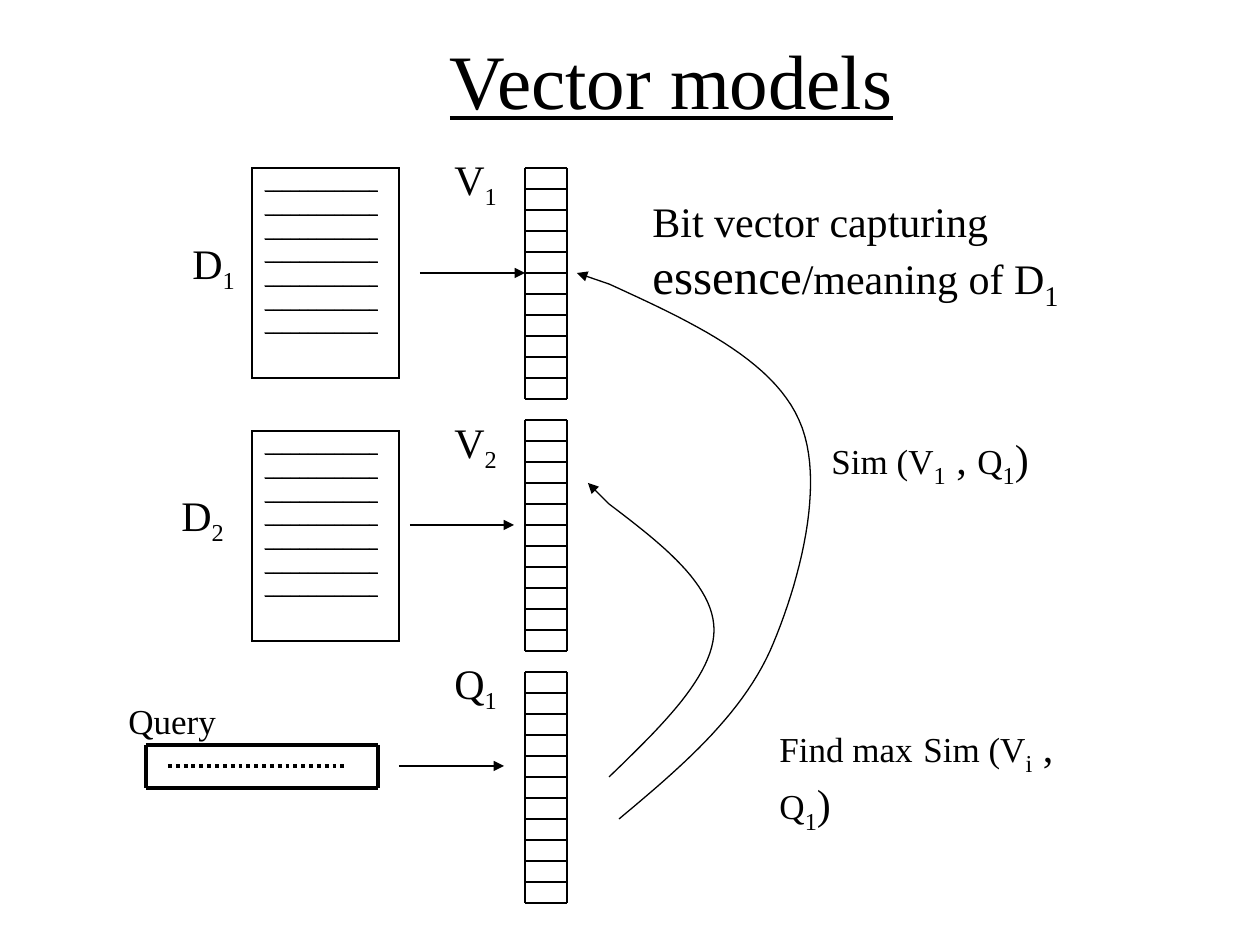
"""Build the slide on vector models of documents and queries."""
import pptx
import pptx.dml.color
import pptx.enum.dml
import pptx.enum.shapes
import pptx.enum.text
import pptx.oxml
import pptx.oxml.ns
import pptx.util

BLACK = pptx.dml.color.RGBColor(0, 0, 0)
FONT = "Times New Roman"
SCALE = 914400 / 126
THIN, THICK, EDGE = 0.75, 2.25, 1.08

TITLE = ("Vector models", (136, 0, 1071, 158))
SIM = [("Sim (V", 20, False)]
PAIR = [(" , ", 24, False), ("Q", 20, False), ("1", 24, True), (")", 24, False)]
LABELS = [
    ((180, 231), "D", "1"),
    ((169, 483), "D", "2"),
    ((442, 147), "V", "1"),
    ((442, 410), "V", "2"),
    ((442, 651), "Q", "1"),
]
NOTES = [
    ((640, 189, 558, 189), True, [
        [("Bit vector capturing", 24, False)],
        [("essence", 28, False), ("/meaning of D", 24, False), ("1", 28, True)],
    ]),
    ((116, 693, 149, 55), True, [[("Query", 20, False)]]),
    ((767, 714, 360, 121), False, [
        [("Find max", 20, False), (" ", 24, False)] + SIM + [("i", 24, True)] + PAIR,
    ]),
    ((819, 426, 223, 71), False, [SIM + [("1", 24, True)] + PAIR]),
]
LEFT, WIDE, CELL, COUNT = 525, 42, 21, 11
VECTORS = [168, 420, 672]
PAGES = [(252, 168, 147, 210), (252, 431, 147, 210)]
ROWS, RULE = 7, "_" * 13
QUERY = (146, 745, 378, 788)
DOTS = (168, 766, 347, 766)
ARROWS = [(420, 273, 525, 273), (410, 525, 514, 525), (399, 766, 504, 766)]
CURVES = [
    ([(619, 819), (679, 769), (740, 717), (770, 651), (799, 585), (827, 481),
      (799, 420), (772, 359), (690, 321), (609, 284)], (577, 273)),
    ([(609, 777), (662, 726), (714, 675), (714, 630), (714, 585), (662, 544),
      (609, 504)], (588, 483)),
]
STEPS = 24


def emu(*nums):
    return [round(num * SCALE) for num in nums]


def style(run, size, line=False, sub=False):
    run.font.name = FONT
    run.font.size = pptx.util.Pt(size)
    run.font.color.rgb = BLACK
    if line:
        run.font.underline = True
    if sub:
        run._r.get_or_add_rPr().set("baseline", "-25000")


def write(shapes, box, wrap, paras):
    frame = shapes.add_textbox(*emu(*box)).text_frame
    frame.word_wrap = wrap
    frame.auto_size = pptx.enum.text.MSO_AUTO_SIZE.SHAPE_TO_FIT_TEXT
    for num, parts in enumerate(paras):
        para = frame.add_paragraph() if num else frame.paragraphs[0]
        for text, size, sub in parts:
            run = para.add_run()
            run.text = text
            style(run, size, sub=sub)


def line(shapes, ends, width=THIN, head=False):
    link = shapes.add_connector(pptx.enum.shapes.MSO_CONNECTOR.STRAIGHT, *emu(*ends))
    link.line.color.rgb = BLACK
    link.line.width = pptx.util.Pt(width)
    if head:
        tail = pptx.oxml.parse_xml(
            f'<a:tailEnd {pptx.oxml.ns.nsdecls("a")} type="triangle"/>')
        link.line._get_or_add_ln().append(tail)
    link._element.spPr.append(
        pptx.oxml.parse_xml(f'<a:effectLst {pptx.oxml.ns.nsdecls("a")}/>'))
    return link


def vector(shapes, top):
    group = shapes.add_group_shape().shapes
    right, base = LEFT + WIDE, top + COUNT * CELL
    for x in (LEFT, right):
        line(group, (x, top, x, base))
    for y in range(top, base + 1, CELL):
        line(group, (LEFT, y, right, y))


def curve(shapes, knots, tip):
    points = []
    for at in range(0, len(knots) - 1, 3):
        for step in range(1, STEPS + 1):
            t = step / STEPS
            mix = ((1 - t) ** 3, 3 * t * (1 - t) ** 2, 3 * t * t * (1 - t), t ** 3)
            points.append(emu(*(
                sum(part * knot[axis] for part, knot in zip(mix, knots[at:at + 4]))
                for axis in (0, 1))))
    form = shapes.build_freeform(*emu(*knots[0]), scale=1.0)
    form.add_line_segments(points, close=False)
    arc = form.convert_to_shape()
    arc.shadow.inherit = False
    arc.fill.background()
    arc.line.color.rgb = BLACK
    arc.line.width = pptx.util.Pt(THIN)
    line(shapes, knots[-1] + tip, head=True)


def page(shapes, box):
    table = shapes.add_table(1, 1, *emu(*box)).table
    table.first_row = table.horz_banding = False
    cell = table.cell(0, 0)
    cell.text = "\n".join([RULE] * ROWS)
    for para in cell.text_frame.paragraphs:
        para.space_before = pptx.util.Pt(2.5)
        style(para.runs[0], 10, line=True)
    props = cell._tc.get_or_add_tcPr()
    for side in ("lnL", "lnR", "lnT", "lnB"):
        props.append(pptx.oxml.parse_xml(
            f'<a:{side} {pptx.oxml.ns.nsdecls("a")} w="{pptx.util.Pt(EDGE)}">'
            f'<a:solidFill><a:srgbClr val="{BLACK}"/></a:solidFill></a:{side}>'))
    cell.fill.background()


def main():
    deck = pptx.Presentation()
    deck.slide_width, deck.slide_height = emu(1260, 945)
    shapes = deck.slides.add_slide(deck.slide_layouts[6]).shapes

    text, box = TITLE
    frame = shapes.add_textbox(*emu(*box)).text_frame
    frame.word_wrap = True
    frame.vertical_anchor = pptx.enum.text.MSO_ANCHOR.MIDDLE
    frame.text = text
    frame.paragraphs[0].alignment = pptx.enum.text.PP_ALIGN.CENTER
    style(frame.paragraphs[0].runs[0], 44, line=True)

    for spot, name, sub in LABELS:
        write(shapes, spot + (68, 71), False, [[(name, 24, False), (sub, 24, True)]])
    for note in NOTES:
        write(shapes, *note)
    for top in VECTORS:
        vector(shapes, top)

    left, top, right, base = QUERY
    for y in (top, base):
        line(shapes, (left, y, right, y), THICK)
    for x in (left, right):
        line(shapes, (x, top, x, base), THICK)
    for ends in ARROWS:
        line(shapes, ends, head=True)
    for knots, tip in CURVES:
        curve(shapes, knots, tip)
    for box in PAGES:
        page(shapes, box)
    dots = line(shapes, DOTS, THICK)
    dots.line.dash_style = pptx.enum.dml.MSO_LINE.ROUND_DOT
    deck.save("out.pptx")


if __name__ == "__main__":
    main()
